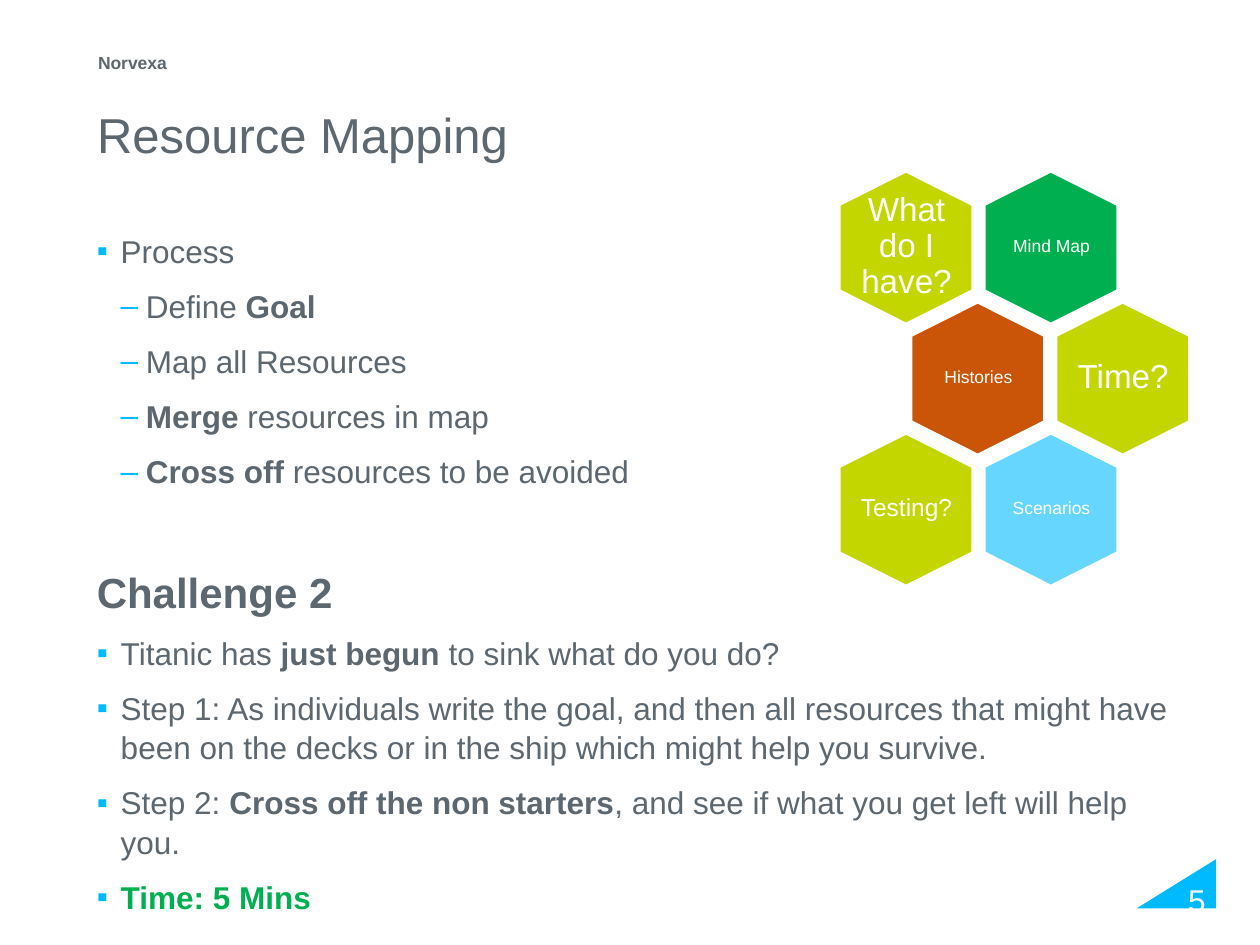
from lxml import etree
from pptx import Presentation
from pptx.dml.color import RGBColor
from pptx.enum.shapes import MSO_SHAPE
from pptx.enum.text import MSO_ANCHOR, MSO_AUTO_SIZE, PP_ALIGN
from pptx.oxml.ns import qn
from pptx.util import Inches, Pt

LEFT, CENTER, RIGHT = PP_ALIGN.LEFT, PP_ALIGN.CENTER, PP_ALIGN.RIGHT
TOP, MIDDLE = MSO_ANCHOR.TOP, MSO_ANCHOR.MIDDLE
GREY, BLUE, WHITE = "5D6770", "00BAFF", "FFFFFF"
LIME, GREEN, RUST, SKY = "C3D600", "00B050", "CA5408", "66D6FF"


def paint(fmt, color):
    fmt.solid()
    fmt.fore_color.rgb = RGBColor.from_string(color)


def write(frame, text, size=18, color=GREY, bold=False, align=LEFT, anchor=TOP,
          inset=(0.1, 0.05, 0.1, 0.05), mark=None, level=0, before=0, line=1.0):
    frame.word_wrap = True
    frame.auto_size = MSO_AUTO_SIZE.NONE
    frame.vertical_anchor = anchor
    (frame.margin_left, frame.margin_top,
     frame.margin_right, frame.margin_bottom) = map(Inches, inset)
    para = frame.paragraphs[0] if not frame.text else frame.add_paragraph()
    if mark:
        props = para._p.get_or_add_pPr()
        props.set("marL", str(Inches((0.19, 0.39)[level])))
        props.set("indent", str(-Inches((0.19, 0.2)[level])))
        tint = etree.SubElement(props, qn("a:buClr"))
        etree.SubElement(tint, qn("a:srgbClr"), val=BLUE)
        etree.SubElement(props, qn("a:buFont"), typeface="Arial")
        etree.SubElement(props, qn("a:buChar"), char=mark)
    para.level = level
    para.alignment = align
    para.line_spacing = line
    para.space_before = Pt(before)
    for i, part in enumerate(text.split("**")):
        if part:
            run = para.add_run()
            run.text = part
            run.font.name = "Arial"
            run.font.size = Pt(size)
            run.font.bold = bold or i % 2 == 1
            paint(run.font.fill, color)


deck = Presentation()
deck.slide_width, deck.slide_height = Inches(10), Inches(7.5)
slide = deck.slides.add_slide(deck.slide_layouts[5])
shapes = slide.shapes

wedge = shapes.add_shape(MSO_SHAPE.RIGHT_TRIANGLE, Inches(9.02), Inches(6.82),
                         Inches(0.63), Inches(0.39))
wedge._element.spPr.xfrm.set("flipH", "1")
wedge.shadow.inherit = False
paint(wedge.fill, BLUE)
wedge.line.fill.background()

brand = shapes.add_textbox(Inches(0.68), Inches(0.36), Inches(0.96), Inches(0.27))
write(brand.text_frame, "Norvexa", size=10, bold=True)

title = shapes.title
title.left, title.top = Inches(0.67), Inches(0.73)
title.width, title.height = Inches(8.9), Inches(0.89)
write(title.text_frame, "Resource Mapping", size=28, inset=(0.1, 0.1, 0.1, 0.05))

body = shapes.add_textbox(Inches(0.67), Inches(1.78), Inches(8.9), Inches(4.95))
dot = {"mark": "▪", "before": 9}
dash = {"mark": "–", "before": 9, "level": 1}
lines = [
    ("Process", {"mark": "▪"}),
    ("Define **Goal**", dash),
    ("Map all Resources", dash),
    ("**Merge** resources in map", dash),
    ("**Cross off **resources to be avoided", dash),
    ("Challenge 2", {"size": 24, "bold": True, "before": 42.5}),
    ("Titanic has **just begun **to sink what do you do?", dot),
    ("Step 1: As individuals write the goal, and then all resources that might have "
     "been on the decks or in the ship which might help you survive.", dot),
    ("Step 2: **Cross off the non starters**, and see if what you get left "
     "will help you.", dot),
    ("Time: 5 Mins", {**dot, "color": GREEN, "bold": True}),
]
for text, style in lines:
    write(body.text_frame, text, line=1.04, **style)

page = shapes.add_textbox(Inches(8.31), Inches(6.82), Inches(1.26), Inches(0.51))
write(page.text_frame, "5", color=WHITE, align=RIGHT, inset=(0.1, 0.17, 0, 0.05))

cells = [
    (0, 1, "Mind Map", 10, GREEN),
    (0, 0, "What do I have?", 19, LIME),
    (1, 0, "Histories", 10, RUST),
    (1, 1, "Time?", 19, LIME),
    (2, 1, "Scenarios", 10, SKY),
    (2, 0, "Testing?", 14, LIME),
]
comb = shapes.add_group_shape().shapes
for row, col, text, size, color in cells:
    x = 6.58 + 1.15 * col + 0.57 * (row % 2)
    y = 1.43 + 1.04 * row
    tile = comb.add_shape(MSO_SHAPE.HEXAGON, Inches(x), Inches(y),
                          Inches(1.22), Inches(1.07))
    tile.rotation = 90
    tile.adjustments[0], tile.adjustments[1] = 0.25, 1.15
    tile.shadow.inherit = False
    paint(tile.fill, color)
    paint(tile.line.fill, WHITE)
    tile.line.width = Pt(2)
    label = comb.add_textbox(Inches(x + 0.25), Inches(y + 0.11),
                             Inches(0.73), Inches(0.84))
    pad = 0.04 if size == 10 else 0
    write(label.text_frame, text, size=size, color=WHITE, align=CENTER,
          anchor=MIDDLE, inset=(pad,) * 4, line=0.9)

deck.save("out.pptx")
